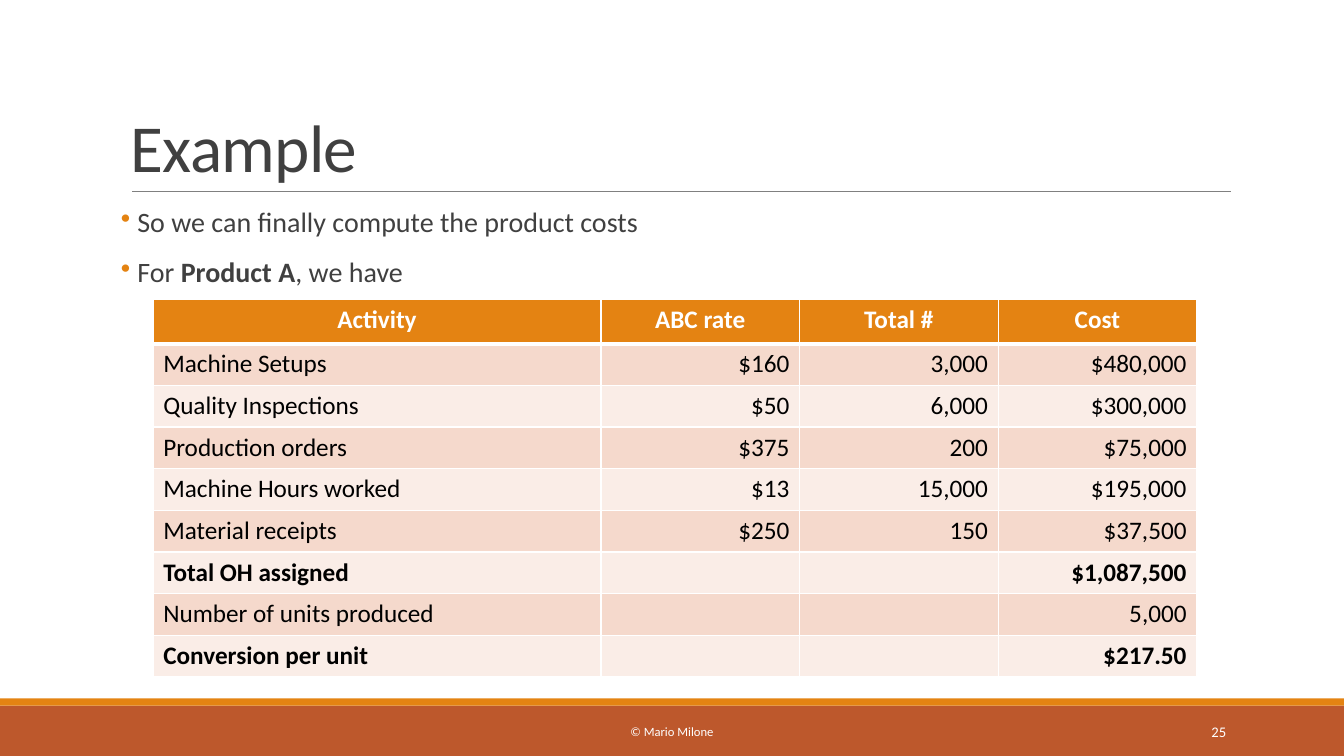
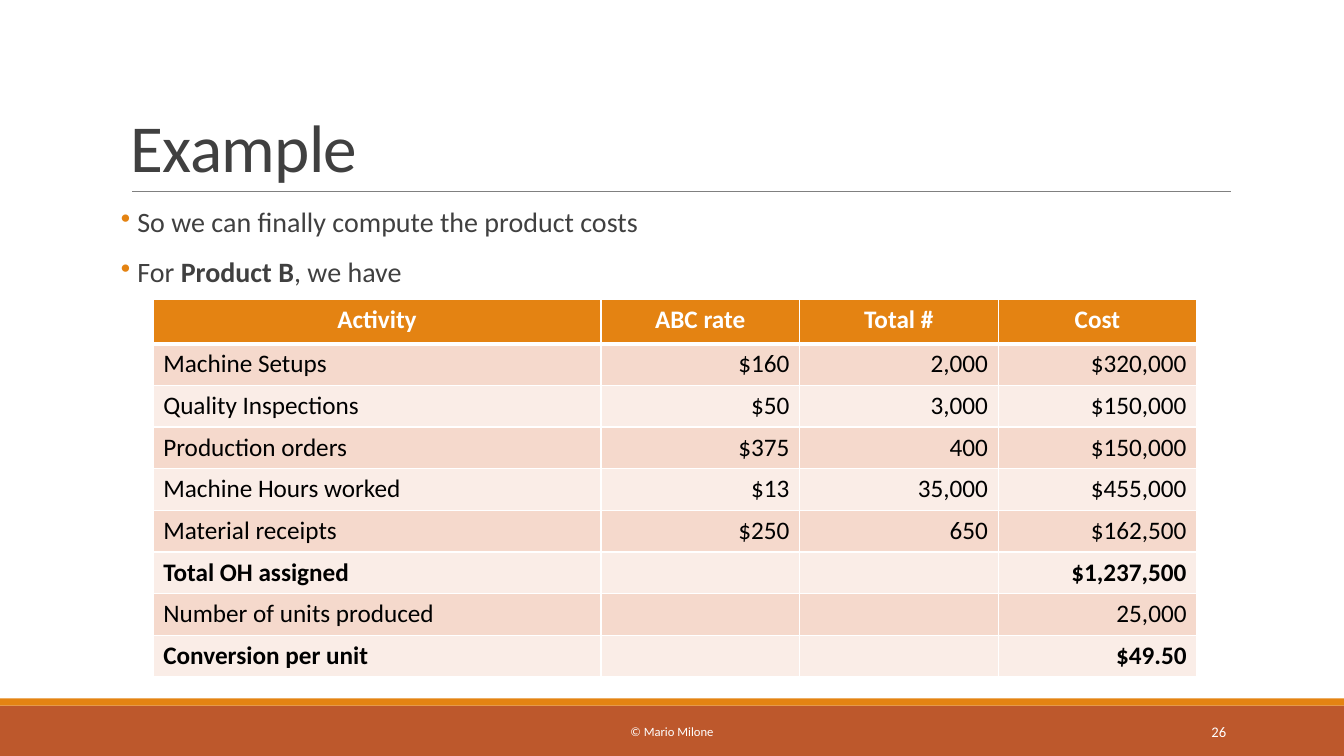
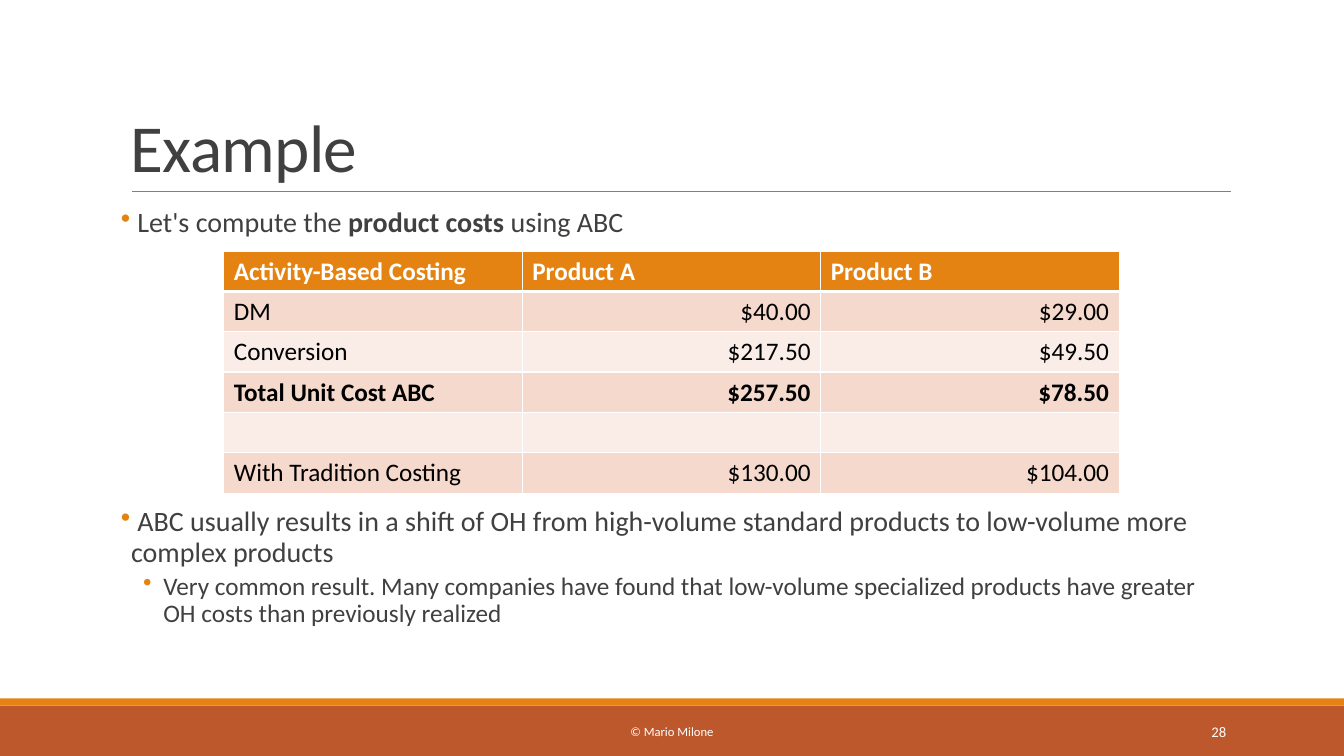
from lxml import etree
from pptx import Presentation
from pptx.dml.color import RGBColor
from pptx.enum.shapes import MSO_CONNECTOR, MSO_SHAPE
from pptx.enum.text import MSO_ANCHOR, PP_ALIGN
from pptx.oxml.ns import qn
from pptx.util import Inches, Pt

LEFT, CENTER, RIGHT = PP_ALIGN.LEFT, PP_ALIGN.CENTER, PP_ALIGN.RIGHT
TOP, MIDDLE, BOTTOM = MSO_ANCHOR.TOP, MSO_ANCHOR.MIDDLE, MSO_ANCHOR.BOTTOM
RECT, STRAIGHT = MSO_SHAPE.RECTANGLE, MSO_CONNECTOR.STRAIGHT

WIDTH, HEIGHT = 13.33, 7.5


def rgb(value):
    return RGBColor.from_string(value)


def write(p, text, size=18, color="000000", bold=False, align=LEFT,
          line=None, before=0, after=0, spacing=None):
    """Fill a paragraph; parts between ** marks are bold."""
    p.alignment = align
    p.space_before, p.space_after = Pt(before), Pt(after)
    if line:
        p.line_spacing = line
    for i, part in enumerate(text.split("**")):
        if not part:
            continue
        r = p.add_run()
        r.text = part
        r.font.name, r.font.size = Deck.FONT, Pt(size)
        r.font.bold = bold or i % 2 == 1
        r.font.color.rgb = rgb(color)
        if spacing:
            r.font._element.set("spc", str(round(spacing * 100)))


def set_bullet(p, margin, indent, color):
    pPr = p._p.get_or_add_pPr()
    pPr.set("marL", str(Inches(margin)))
    pPr.set("indent", str(Inches(indent)))
    clr = etree.SubElement(pPr, qn("a:buClr"))
    etree.SubElement(clr, qn("a:srgbClr"), val=color)
    etree.SubElement(pPr, qn("a:buChar"), char="•")


def set_borders(cell, color, **widths):
    tcPr = cell._tc.get_or_add_tcPr()
    for side in "LRTB":
        ln = etree.SubElement(tcPr, qn("a:ln" + side),
                              w=str(Pt(widths.get(side, 1))))
        fill = etree.SubElement(ln, qn("a:solidFill"))
        etree.SubElement(fill, qn("a:srgbClr"), val=color)


class Deck:
    FONT = "Calibri"
    ACCENT, BAND, RULE = "E48312", "BD582C", "808080"
    INK, BLACK, WHITE = "404040", "000000", "FFFFFF"
    STRIPES = ("F5D9CC", "FAEDE7")

    def __init__(self):
        self.prs = Presentation()
        self.prs.slide_width, self.prs.slide_height = Inches(WIDTH), Inches(HEIGHT)
        self.s = None

    def new_slide(self, title, number):
        self.s = self.prs.slides.add_slide(self.prs.slide_layouts[6])
        # Bands and title rule
        self.band(7, 0.5, self.BAND)
        self.band(6.93, 0.07, self.ACCENT)
        self.rule(1.31, 12.21, 1.9)
        # Title and footers
        self.label(title, 1.2, 0.31, 11, 1.59, anchor=BOTTOM, size=48,
                   color=self.INK, line=0.85, spacing=-0.5)
        self.label("© Mario Milone", 4.03, 7.06, 5.27, 0.4, anchor=MIDDLE,
                   size=9, color=self.WHITE, align=CENTER)
        self.label(str(number), 10.83, 7.06, 1.43, 0.4, anchor=MIDDLE,
                   size=10.5, color=self.WHITE, align=RIGHT)

    def band(self, y, h, color):
        sp = self.s.shapes.add_shape(RECT, 0, Inches(y), Inches(WIDTH), Inches(h))
        sp.shadow.inherit = False
        sp.fill.solid()
        sp.fill.fore_color.rgb = rgb(color)
        sp.line.fill.background()

    def rule(self, x1, x2, y):
        cxn = self.s.shapes.add_connector(
            STRAIGHT, Inches(x1), Inches(y), Inches(x2), Inches(y))
        cxn.line.color.rgb = rgb(self.RULE)
        cxn.line.width = Pt(0.5)
        etree.SubElement(cxn._element.spPr, qn("a:effectLst"))

    def frame(self, x, y, w, h, anchor=TOP):
        sp = self.s.shapes.add_textbox(Inches(x), Inches(y), Inches(w), Inches(h))
        tf = sp.text_frame
        tf.word_wrap = True
        tf.vertical_anchor = anchor
        return tf

    def label(self, text, x, y, w, h, anchor=TOP, **fmt):
        write(self.frame(x, y, w, h, anchor).paragraphs[0], text, **fmt)

    def bullets(self, items):
        """Each item is (text, level, space before)."""
        tf = self.frame(1.2, 2.02, 11, 4.4)
        tf.margin_left = tf.margin_right = 0
        for i, (text, level, before) in enumerate(items):
            p = tf.add_paragraph() if i else tf.paragraphs[0]
            p.level = level
            size, after, margin, indent = ((20, 2, 0.1, -0.1),
                                           (18, 4, 0.42, -0.2))[level]
            write(p, text, size=size, color=self.INK, line=0.9,
                  before=before, after=after)
            set_bullet(p, margin, indent, self.ACCENT)

    def table(self, rows, x, y, cols, heights, head_align, bold_rows):
        shape = self.s.shapes.add_table(
            len(rows), len(cols), Inches(x), Inches(y),
            Inches(sum(cols)), Inches(sum(heights)))
        tbl = shape.table
        for column, w in zip(tbl.columns, cols):
            column.width = Inches(w)
        for i, (row, h) in enumerate(zip(rows, heights)):
            tbl.rows[i].height = Inches(h)
            head = i == 0
            for j, text in enumerate(row):
                cell = tbl.cell(i, j)
                set_borders(cell, self.WHITE, T=3 if i == 1 else 1,
                            B=3 if head else 1)
                cell.fill.solid()
                cell.fill.fore_color.rgb = rgb(
                    self.ACCENT if head else self.STRIPES[(i - 1) % 2])
                write(cell.text_frame.paragraphs[0], text,
                      color=self.WHITE if head else self.BLACK,
                      bold=head or row[0] in bold_rows,
                      align=head_align if head else RIGHT if j else LEFT)


# Cost per unit of each activity
RATES = {"Machine Setups": 160, "Quality Inspections": 50,
         "Production orders": 375, "Machine Hours worked": 13,
         "Material receipts": 250}


def product_slide(deck, number, product, counts, units):
    deck.new_slide("Example", number)
    deck.bullets([(" So we can finally compute the product costs", 0, 12),
                  (f" For **{product}**, we have", 0, 12)])
    rows = [("Activity", "ABC rate", "Total #", "Cost")]
    total = 0
    for (activity, rate), count in zip(RATES.items(), counts):
        cost = rate * count
        total += cost
        rows.append((activity, f"${rate}", f"{count:,}", f"${cost:,}"))
    rows += [("Total OH assigned", "", "", f"${total:,}"),
             ("Number of units produced", "", "", f"{units:,}"),
             ("Conversion per unit", "", "", f"${total / units:.2f}")]
    deck.table(rows, 1.52, 2.97, [4.44] + [1.97] * 3,
               [0.44] + [3.31 / 8] * 8, CENTER,
               ("Total OH assigned", "Conversion per unit"))


def summary_slide(deck, number):
    deck.new_slide("Example", number)
    # The third value leaves room for the table between the bullets
    deck.bullets([
        (" Let's compute the **product costs** using ABC", 0, 12),
        (" ABC usually results in a shift of OH from high-volume standard "
         "products to low-volume more complex products", 0, 190),
        ("Very common result. Many companies have found that low-volume "
         "specialized products have greater OH costs than previously realized",
         1, 2)])
    rows = [("Activity-Based Costing", "Product A", "Product B"),
            ("DM", "$40.00", "$29.00"),
            ("Conversion", "$217.50", "$49.50"),
            ("Total Unit Cost ABC", "$257.50", "$78.50"),
            ("", "", ""),
            ("With Tradition Costing", "$130.00", "$104.00")]
    deck.table(rows, 2.22, 2.49, [2.96] * 3, [0.4] * len(rows), LEFT,
               ("Total Unit Cost ABC",))


def main():
    deck = Deck()
    product_slide(deck, 25, "Product A", (3000, 6000, 200, 15000, 150), 5000)
    product_slide(deck, 26, "Product B", (2000, 3000, 400, 35000, 650), 25000)
    summary_slide(deck, 28)
    deck.prs.save("out.pptx")


if __name__ == "__main__":
    main()
